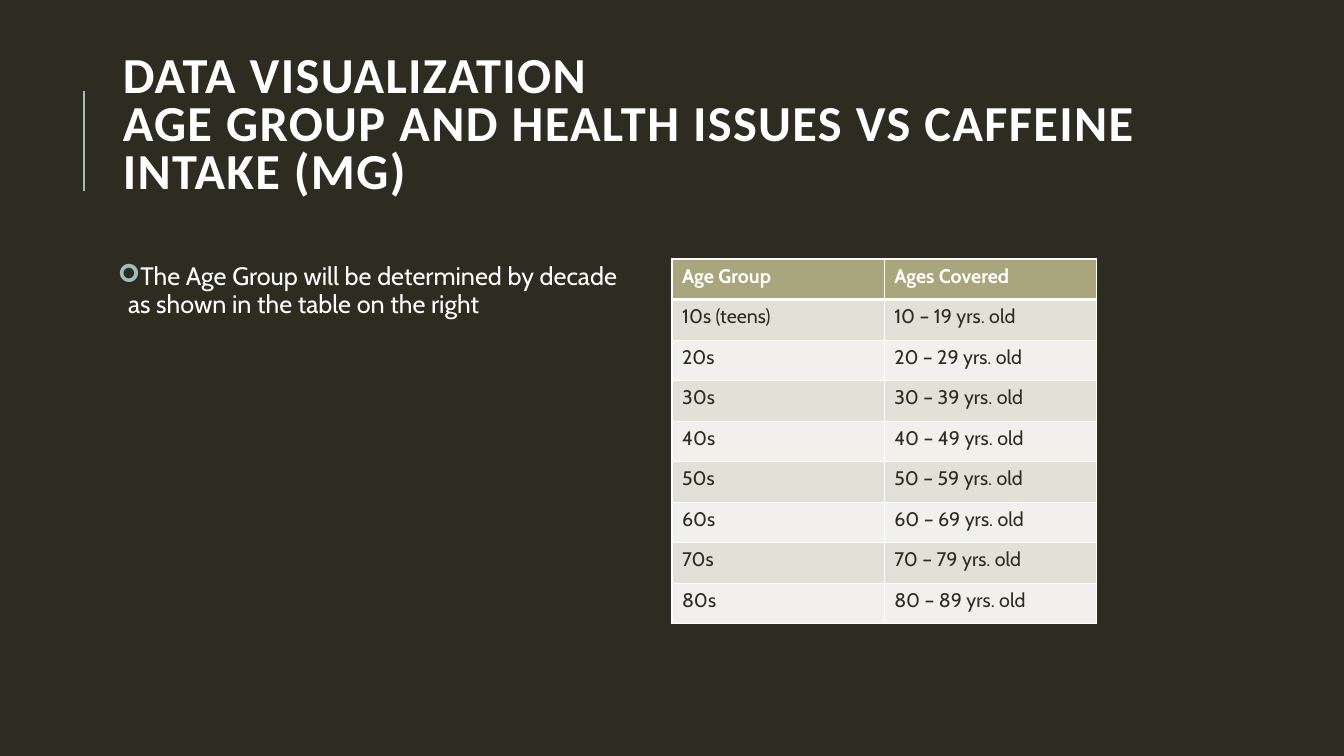
from lxml.etree import SubElement
from pptx import Presentation
from pptx.dml.color import RGBColor
from pptx.enum.shapes import MSO_CONNECTOR as Connector
from pptx.enum.text import MSO_ANCHOR as Anchor
from pptx.oxml import parse_xml
from pptx.oxml.ns import nsdecls, qn
from pptx.util import Inches, Pt

DARK, WHITE, TEAL = "2E2B21", "FFFFFF", "9CBEBD"
HEADER, BANDS = "A9A57C", ("F1F0EC", "E2E1D7")
colour = RGBColor.from_string

deck = Presentation()
deck.slide_width, deck.slide_height = Inches(13.3333), Inches(7.5)
page = deck.slides.add_slide(deck.slide_layouts[6])
page.background.fill.solid()
page.background.fill.fore_color.rgb = colour(DARK)


def grid(*places):
    """Turn x, y, x, y ... in hundredths of the slide into lengths."""
    sides = (deck.slide_width, deck.slide_height)
    return [int(place * sides[i % 2] / 100) for i, place in enumerate(places)]


def write(frame, text, size, font="Cabin", ink=WHITE, bold=False,
          line=None, tracking=None, bullet=None):
    frame.word_wrap = True
    para = frame.paragraphs[0]
    if line:
        para.line_spacing = line
    if bullet:
        layout = para._p.get_or_add_pPr()
        layout.set("marL", str(Inches(0.1)))
        layout.set("indent", str(-Inches(0.1)))
        tint = SubElement(layout, qn("a:buClr"))
        SubElement(tint, qn("a:srgbClr"), val=TEAL)
        SubElement(layout, qn("a:buFont"), typeface="Wingdings")
        SubElement(layout, qn("a:buChar"), char=bullet)
    for number, part in enumerate(text.split("\n")):
        if number:
            para.add_line_break()
        span = para.add_run()
        span.text = part
        span.font.name, span.font.size, span.font.bold = font, Pt(size), bold
        span.font.color.rgb = colour(ink)
        if tracking:
            span.font._element.set("spc", str(tracking * 100))


# Accent line beside the title
accent = page.shapes.add_connector(Connector.STRAIGHT, *grid(6.25, 25.33, 6.25, 12))
accent.line.color.rgb = colour(TEAL)
accent.line.width = Pt(1.5)
SubElement(accent._element.spPr, qn("a:effectLst"))

# Title
title = page.shapes.add_textbox(*grid(8.4, 8.53, 85.2, 16.53)).text_frame
title.vertical_anchor = Anchor.MIDDLE
write(title, "DATA VISUALIZATION\nAGE GROUP AND HEALTH ISSUES VS CAFFEINE INTAKE (MG)",
      36, font="Calibri", bold=True, line=0.8, tracking=1)

# Explanation
body = page.shapes.add_textbox(*grid(8.4, 34.27, 39.83, 48.27)).text_frame
body.margin_left = body.margin_right = Inches(0.05)
body.margin_top = body.margin_bottom = Inches(0.05)
write(body, "The Age Group will be determined by decade as shown in the table on the right",
      18, line=0.9, bullet="➢")

# Age group table
rows = [("Age Group", "Ages Covered")]
for decade in range(10, 90, 10):
    label = f"{decade}s (teens)" if decade == 10 else f"{decade}s"
    rows.append((label, f"{decade} – {decade + 9} yrs. old"))

table = page.shapes.add_table(len(rows), 2, *grid(50, 34.27, 31.58, 48.27)).table
for r, texts in enumerate(rows):
    for c, text in enumerate(texts):
        cell = table.cell(r, c)
        heading = r == 0
        write(cell.text_frame, text, 14, ink=WHITE if heading else DARK, bold=heading)
        # Borders go before the fill; a thick rule parts the header from the rows
        for side in "LRTB":
            thick = (r, side) in ((0, "B"), (1, "T"))
            cell._tc.get_or_add_tcPr().append(parse_xml(
                f'<a:ln{side} {nsdecls("a")} w="{Pt(3 if thick else 1)}"><a:solidFill>'
                f'<a:srgbClr val="{WHITE}"/></a:solidFill></a:ln{side}>'))
        cell.fill.solid()
        cell.fill.fore_color.rgb = colour(HEADER if heading else BANDS[r % 2])

deck.save("out.pptx")
